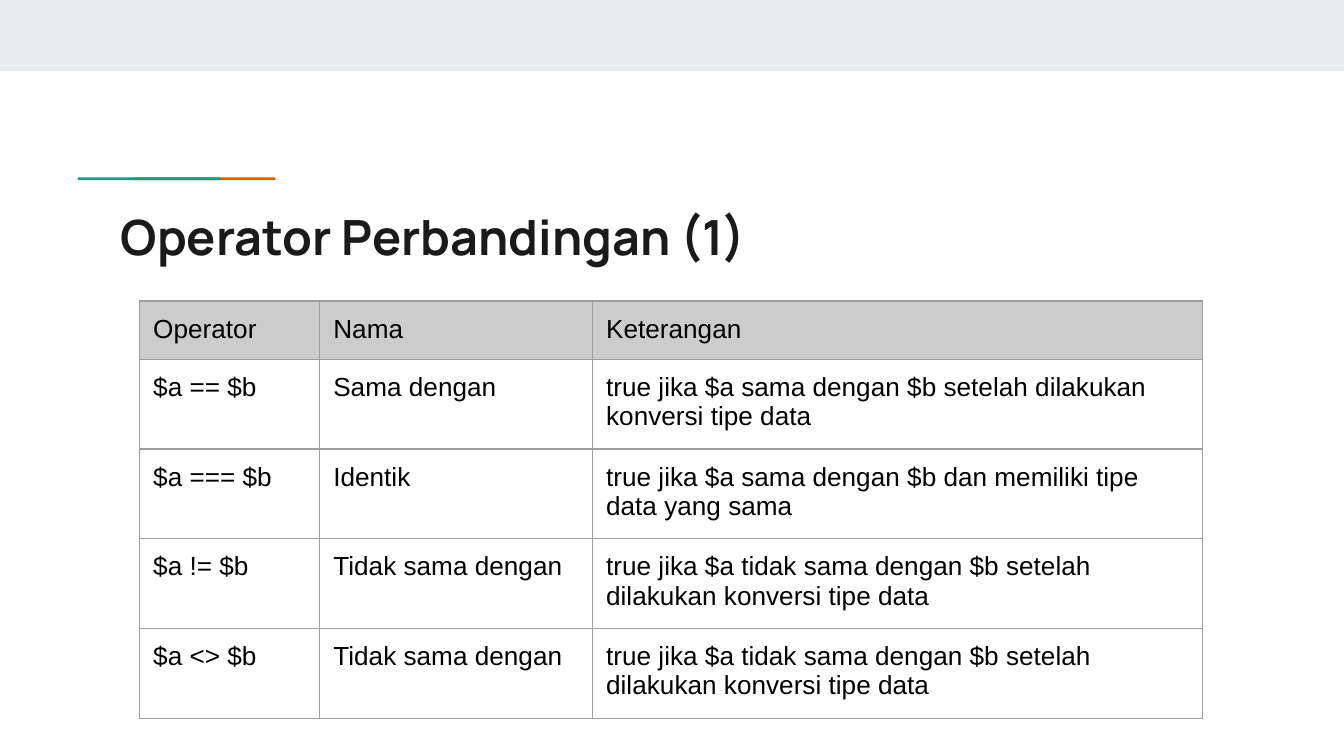
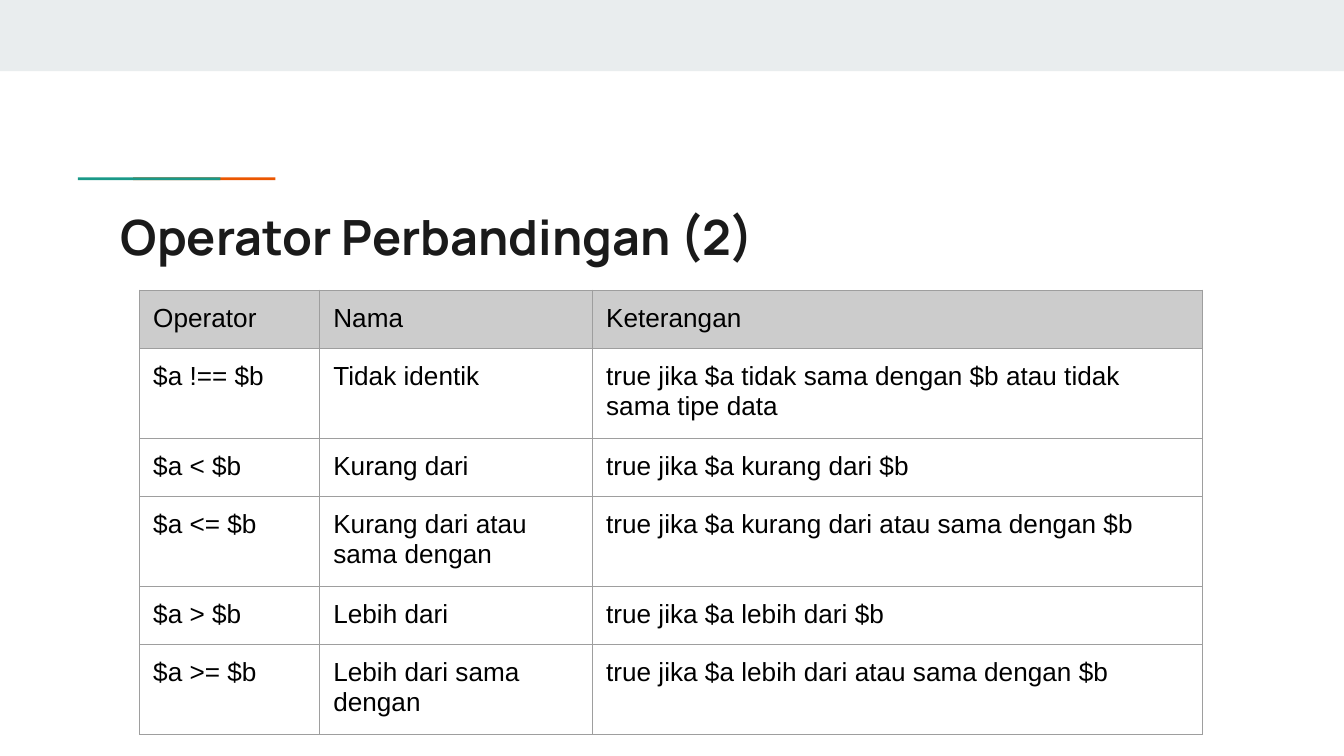
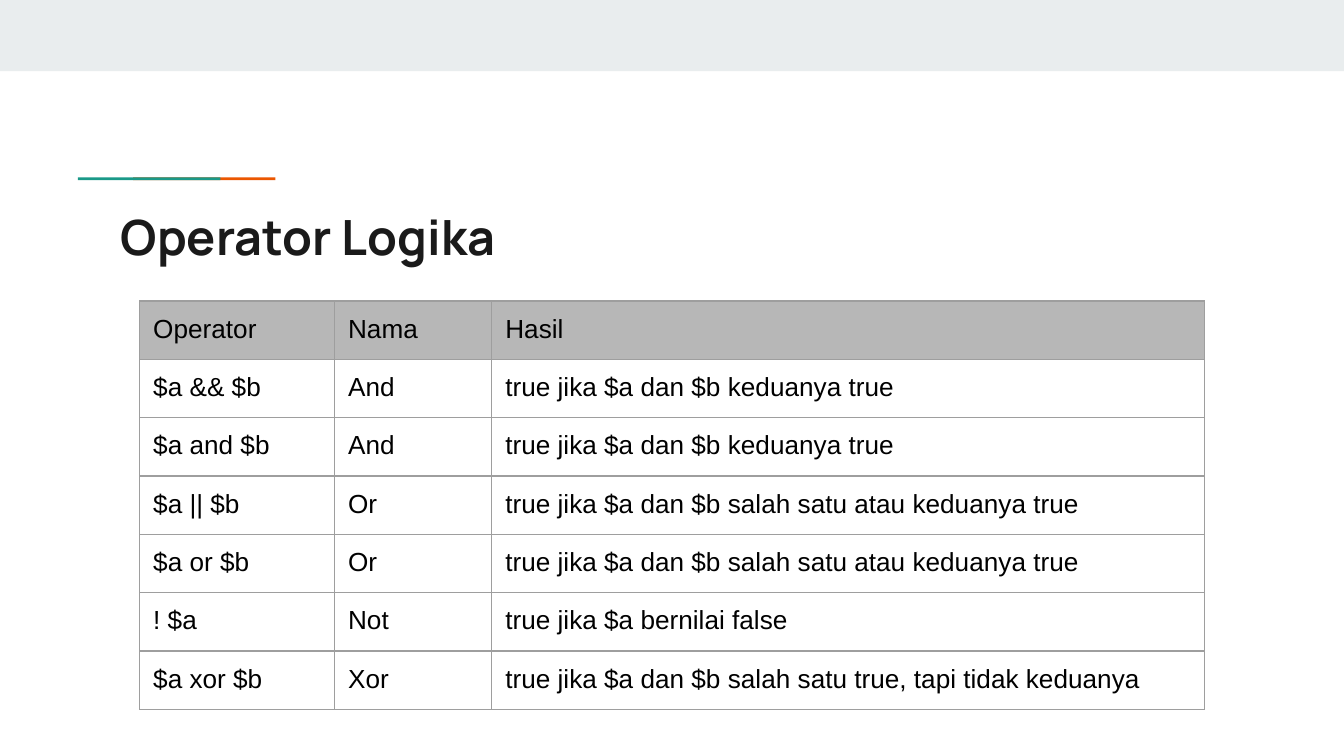
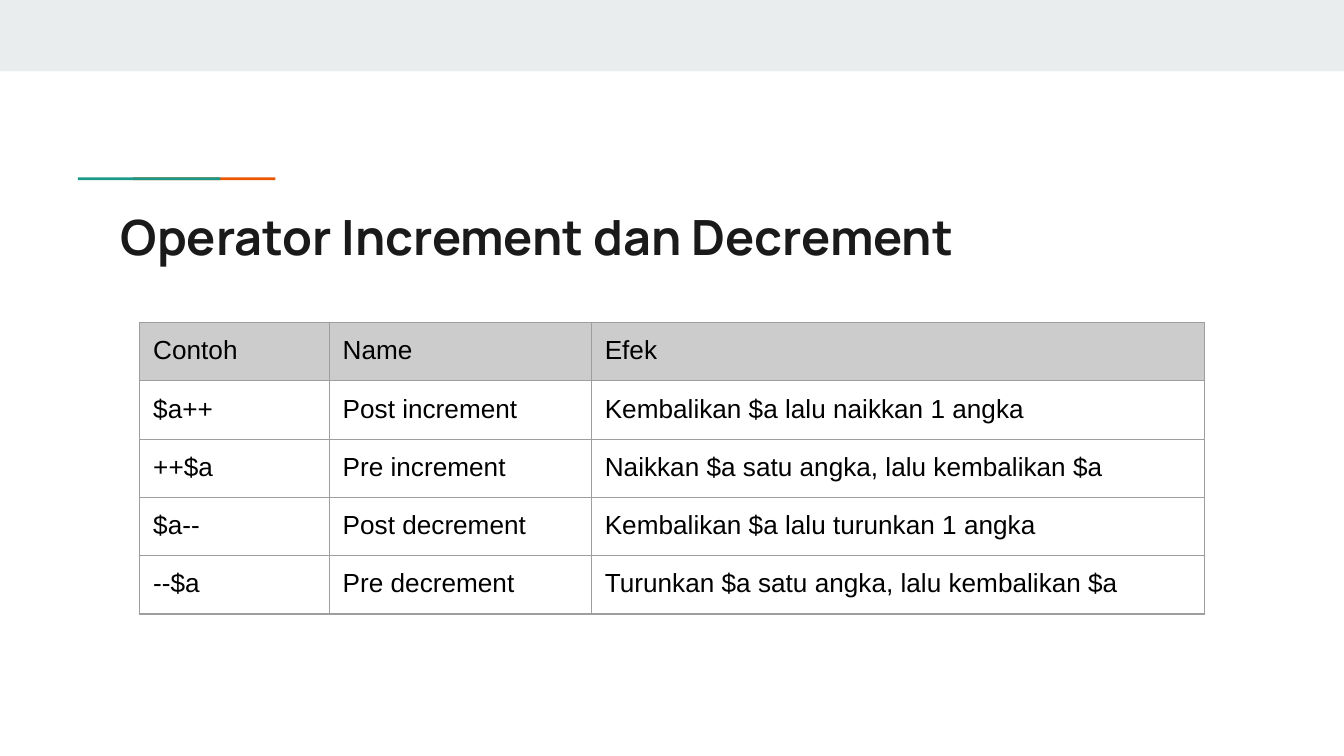
"""Builds four slides of operator tables."""
from lxml import etree
from pptx import Presentation
from pptx import util as u
from pptx.dml.color import RGBColor
from pptx.enum import shapes, text
from pptx.oxml import ns

BAND = RGBColor(0xE9, 0xED, 0xEE)
ORANGE = RGBColor(0xEB, 0x56, 0x00)
TEAL = RGBColor(0x1A, 0x99, 0x88)
TITLE_INK = RGBColor(0x1A, 0x1A, 0x1A)
BLACK = RGBColor(0x00, 0x00, 0x00)
LIGHT_HEADER = RGBColor(0xCC, 0xCC, 0xCC)
DARK_HEADER = RGBColor(0xB7, 0xB7, 0xB7)
GRID = RGBColor(0x9E, 0x9E, 0x9E)

INSET = u.Inches(0.1)
ROW_HEIGHT = 0.42
TABLE_LEFT = 1.04
PLAIN_TABLE_STYLE = "{2D5ABB26-0587-4C30-8999-92F81FD0307C}"
COMPARISON_COLUMNS = (1.34, 2.03, 4.54)
COMPARISON_HEADER = ("Operator", "Nama", "Keterangan")

TOPICS = [
    dict(title="Operator Perbandingan (1)", top=2.24, columns=COMPARISON_COLUMNS,
         header_fill=LIGHT_HEADER, rows=[
             COMPARISON_HEADER,
             ("$a == $b", "Sama dengan",
              "true jika $a sama dengan $b setelah dilakukan konversi tipe data"),
             ("$a === $b", "Identik",
              "true jika $a sama dengan $b dan memiliki tipe data yang sama"),
             ("$a != $b", "Tidak sama dengan",
              "true jika $a tidak sama dengan $b setelah dilakukan konversi tipe data"),
             ("$a <> $b", "Tidak sama dengan",
              "true jika $a tidak sama dengan $b setelah dilakukan konversi tipe data"),
         ]),
    dict(title="Operator Perbandingan (2)", top=2.16, columns=COMPARISON_COLUMNS,
         header_fill=LIGHT_HEADER, rows=[
             COMPARISON_HEADER,
             ("$a !== $b", "Tidak identik",
              "true jika $a tidak sama dengan $b atau tidak sama tipe data"),
             ("$a < $b", "Kurang dari", "true jika $a kurang dari $b"),
             ("$a <= $b", "Kurang dari atau sama dengan",
              "true jika $a kurang dari atau sama dengan $b"),
             ("$a > $b", "Lebih dari", "true jika $a lebih dari $b"),
             ("$a >= $b", "Lebih dari sama dengan",
              "true jika $a lebih dari atau sama dengan $b"),
         ]),
    dict(title="Operator Logika", top=2.24, columns=(1.45, 1.17, 5.3),
         header_fill=DARK_HEADER, rows=[
             ("Operator", "Nama", "Hasil"),
             ("$a && $b", "And", "true jika $a dan $b keduanya true"),
             ("$a and $b", "And", "true jika $a dan $b keduanya true"),
             ("$a || $b", "Or", "true jika $a dan $b salah satu atau keduanya true"),
             ("$a or $b", "Or", "true jika $a dan $b salah satu atau keduanya true"),
             ("! $a", "Not", "true jika $a bernilai false"),
             ("$a xor $b", "Xor",
              "true jika $a dan $b salah satu true, tapi tidak keduanya"),
         ]),
    dict(title="Operator Increment dan Decrement", top=2.4, columns=(1.41, 1.95, 4.56),
         header_fill=LIGHT_HEADER, rows=[
             ("Contoh", "Name", "Efek"),
             ("$a++", "Post increment", "Kembalikan $a lalu naikkan 1 angka"),
             ("++$a", "Pre increment", "Naikkan $a satu angka, lalu kembalikan $a"),
             ("$a--", "Post decrement", "Kembalikan $a lalu turunkan 1 angka"),
             ("--$a", "Pre decrement", "Turunkan $a satu angka, lalu kembalikan $a"),
         ]),
]


def write_text(holder, words, size=14, face="Arial", color=BLACK, bold=False):
    """Write one formatted run into a text frame or cell with even margins."""
    holder.margin_left = holder.margin_right = INSET
    holder.margin_top = holder.margin_bottom = INSET
    holder.vertical_anchor = text.MSO_ANCHOR.TOP
    holder.word_wrap = True
    frame = getattr(holder, "text_frame", holder)
    paragraph = frame.paragraphs[0]
    paragraph.line_spacing = 1.0
    run = paragraph.add_run()
    run.text = words
    run.font.size = u.Pt(size)
    run.font.name = face
    run.font.color.rgb = color
    run.font.bold = bold


def add_bar(slide, left, top, width, height, color):
    """Add a plain filled rectangle."""
    bar = slide.shapes.add_shape(shapes.MSO_SHAPE.RECTANGLE, u.Inches(left),
                                 u.Inches(top), u.Inches(width), u.Inches(height))
    bar.shadow.inherit = False
    bar.fill.solid()
    bar.fill.fore_color.rgb = color
    bar.line.fill.background()


def add_heading(slide, title):
    """Add the top band, the two-colour accent and the title."""
    add_bar(slide, 0, 0, 10, 0.53, BAND)
    add_bar(slide, 0.99, 1.32, 1.06, 0.02, ORANGE)
    add_bar(slide, 0.58, 1.32, 1.06, 0.02, TEAL)
    box = slide.shapes.add_textbox(u.Inches(0.8), u.Inches(1.44),
                                   u.Inches(8.41), u.Inches(0.59))
    write_text(box.text_frame, title, size=26, face="Manrope", color=TITLE_INK, bold=True)


def outline_cell(cell):
    """Draw the grid line on the four sides of a cell."""
    properties = cell._tc.get_or_add_tcPr()
    for position, side in enumerate(("a:lnL", "a:lnR", "a:lnT", "a:lnB")):
        edge = etree.Element(ns.qn(side), w=str(u.Pt(0.75)))
        fill = etree.SubElement(edge, ns.qn("a:solidFill"))
        etree.SubElement(fill, ns.qn("a:srgbClr"), val=str(GRID))
        properties.insert(position, edge)


def add_operator_table(slide, top, columns, header_fill, rows):
    """Add a table of operators with a shaded header row."""
    table = slide.shapes.add_table(
        len(rows), len(columns), u.Inches(TABLE_LEFT), u.Inches(top),
        u.Inches(sum(columns)), u.Inches(ROW_HEIGHT * len(rows))).table
    table.first_row = table.horz_banding = False
    table._tbl.tblPr.find(ns.qn("a:tableStyleId")).text = PLAIN_TABLE_STYLE
    for column, width in zip(table.columns, columns):
        column.width = u.Inches(width)
    for row_index, entries in enumerate(rows):
        table.rows[row_index].height = u.Inches(ROW_HEIGHT)
        for column_index, entry in enumerate(entries):
            cell = table.cell(row_index, column_index)
            write_text(cell, entry)
            if row_index == 0:
                cell.fill.solid()
                cell.fill.fore_color.rgb = header_fill
            else:
                cell.fill.background()
            outline_cell(cell)


def main():
    """Build and save the presentation."""
    deck = Presentation()
    deck.slide_width = u.Inches(10)
    deck.slide_height = deck.slide_width * 9 // 16
    for topic in TOPICS:
        slide = deck.slides.add_slide(deck.slide_layouts[6])
        add_heading(slide, topic["title"])
        add_operator_table(slide, topic["top"], topic["columns"],
                           topic["header_fill"], topic["rows"])
    deck.save("out.pptx")


if __name__ == "__main__":
    main()
